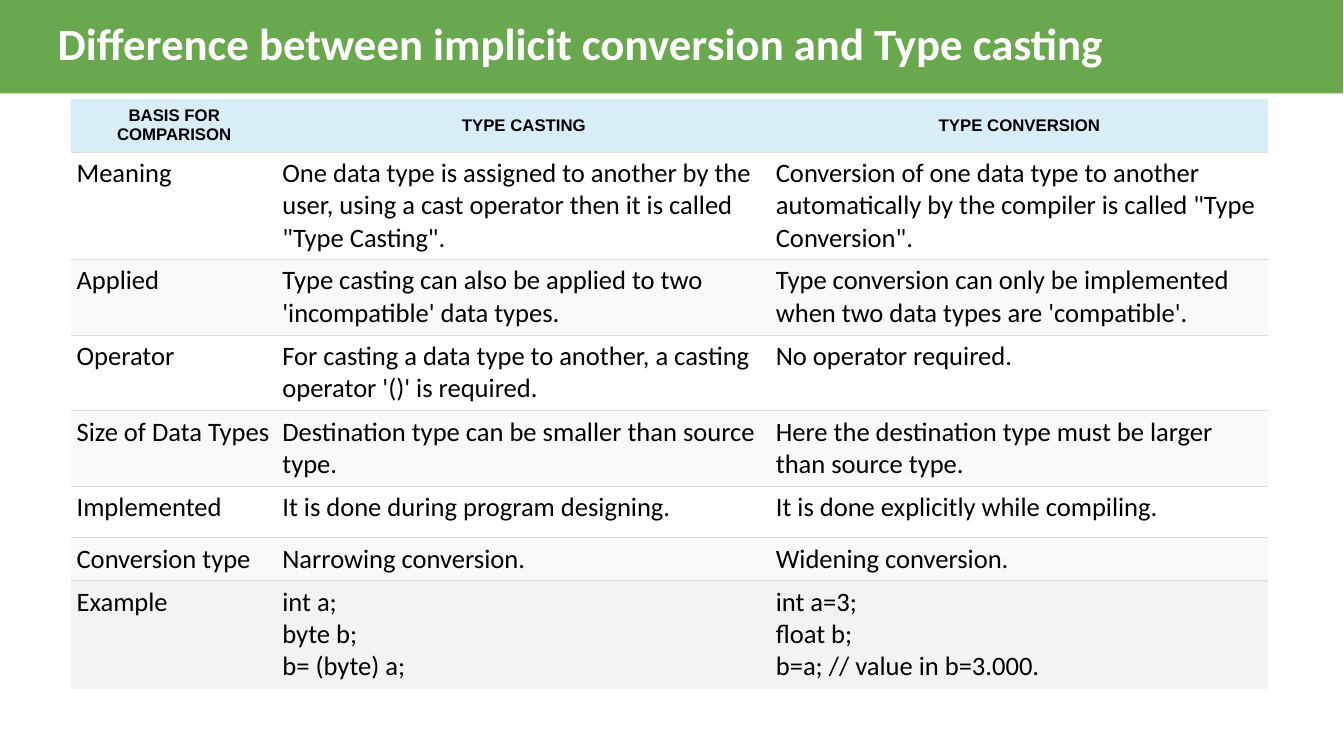
"""Build a slide comparing type casting with type conversion."""
from dataclasses import dataclass

from lxml import etree
from pptx import Presentation
from pptx.dml.color import RGBColor
from pptx.enum.shapes import MSO_SHAPE
from pptx.enum.text import MSO_ANCHOR, PP_ALIGN
from pptx.oxml.ns import qn
from pptx.slide import Slide
from pptx.table import _Cell
from pptx.text.text import TextFrame
from pptx.util import Emu, Pt

RECT = MSO_SHAPE.RECTANGLE
TOP, MIDDLE = MSO_ANCHOR.TOP, MSO_ANCHOR.MIDDLE
LEFT, CENTER = PP_ALIGN.LEFT, PP_ALIGN.CENTER
SCALE = 9525
TITLE_ONLY = 5


@dataclass(frozen=True)
class Theme:
    """Colours, fonts and type sizes."""
    band: str = "6AA84F"
    head: str = "D9EDF7"
    plain: str = "FFFFFF"
    tint: str = "F9F9F9"
    last: str = "F3F3F3"
    rule: str = "DDDDDD"
    ink: str = "000000"
    light: str = "FFFFFF"
    sans: str = "Arial"
    body: str = "Calibri"
    title_size: int = 32
    head_size: int = 12
    body_size: int = 19
    rule_size: float = 0.75


@dataclass(frozen=True)
class Row:
    """One table row: height in px, fill and cell texts."""
    height: int
    fill: str
    texts: tuple[str, str, str]


THEME = Theme()
TITLE = "Difference between implicit conversion and Type casting"
COLS = (196, 470, 474)
ROWS = (
    Row(51, THEME.head, ("BASIS FOR COMPARISON", "TYPE CASTING", "TYPE CONVERSION")),
    Row(102, THEME.plain, (
        "Meaning",
        "One data type is assigned to another by the user, using a cast operator "
        "then it is called \"Type Casting\".",
        "Conversion of one data type to another automatically by the compiler "
        "is called \"Type Conversion\".")),
    Row(72, THEME.tint, (
        "Applied",
        "Type casting can also be applied to two 'incompatible' data types.",
        "Type conversion can only be implemented when two data types are 'compatible'.")),
    Row(72, THEME.plain, (
        "Operator",
        "For casting a data type to another, a casting operator '()' is required.",
        "No operator required.")),
    Row(72, THEME.tint, (
        "Size of Data Types",
        "Destination type can be smaller than source type.",
        "Here the destination type must be larger than source type.")),
    Row(49, THEME.plain, (
        "Implemented",
        "It is done during program designing.",
        "It is done explicitly while compiling.")),
    Row(41, THEME.tint, (
        "Conversion type", "Narrowing conversion.", "Widening conversion.")),
    Row(103, THEME.last, (
        "Example",
        "int a;\vbyte b;\vb= (byte) a;",
        "int a=3;\vfloat b;\vb=a; // value in b=3.000.")),
)


def px(count: int) -> Emu:
    """Turn px into EMU."""
    return Emu(count * SCALE)


def write(frame: TextFrame, text: str, *, size: int, font: str, color: str,
          bold: bool = False, align: PP_ALIGN = LEFT) -> None:
    """Fill a text frame with one formatted paragraph."""
    para = frame.paragraphs[0]
    para.text = text
    para.alignment = align
    for run in para.runs:
        run.font.size = Pt(size)
        run.font.name = font
        run.font.bold = bold
        run.font.color.rgb = RGBColor.from_string(color)


def edge(cell: _Cell, side: str, shown: bool) -> None:
    """Draw or clear one side of a cell."""
    props = cell._tc.get_or_add_tcPr()
    line = etree.SubElement(props, qn(f"a:ln{side}"), w=str(Pt(THEME.rule_size)))
    if shown:
        fill = etree.SubElement(line, qn("a:solidFill"))
        etree.SubElement(fill, qn("a:srgbClr"), val=THEME.rule)
    else:
        etree.SubElement(line, qn("a:noFill"))


def add_title(slide: Slide) -> None:
    """Set the title over its green band."""
    title = slide.shapes.title
    band = slide.shapes.add_shape(RECT, 0, 0, px(1279), px(89))
    band.shadow.inherit = False
    band.fill.solid()
    band.fill.fore_color.rgb = RGBColor.from_string(THEME.band)
    band.line.fill.background()
    title.element.addprevious(band.element)

    title.left, title.top, title.width, title.height = map(px, (55, 13, 1180, 55))
    frame = title.text_frame
    frame.margin_left = frame.margin_right = frame.margin_bottom = 0
    frame.margin_top = px(2)
    frame.vertical_anchor = TOP
    frame.word_wrap = True
    write(frame, TITLE, size=THEME.title_size, font=THEME.body,
          color=THEME.light, bold=True)


def add_grid(slide: Slide) -> None:
    """Add the comparison table."""
    height = sum(row.height for row in ROWS)
    table = slide.shapes.add_table(len(ROWS), len(COLS), px(68), px(94),
                                   px(sum(COLS)), px(height)).table
    table.first_row = table.horz_banding = False
    for col, width in zip(table.columns, COLS):
        col.width = px(width)
    for y, row in enumerate(ROWS):
        table.rows[y].height = px(row.height)
        head = y == 0
        for x, text in enumerate(row.texts):
            cell = table.cell(y, x)
            cell.margin_left = cell.margin_right = px(5)
            cell.margin_top = cell.margin_bottom = px(5)
            cell.vertical_anchor = MIDDLE if head else TOP
            sides = {"L": False, "R": False, "T": not head, "B": y < len(ROWS) - 1}
            for side, shown in sides.items():
                edge(cell, side, shown)
            cell.fill.solid()
            cell.fill.fore_color.rgb = RGBColor.from_string(row.fill)
            write(cell.text_frame, text, color=THEME.ink, bold=head,
                  size=THEME.head_size if head else THEME.body_size,
                  font=THEME.sans if head else THEME.body,
                  align=CENTER if head else LEFT)


def main() -> None:
    """Build and save the deck."""
    deck = Presentation()
    deck.slide_width, deck.slide_height = px(1280), px(720)
    slide = deck.slides.add_slide(deck.slide_layouts[TITLE_ONLY])
    add_title(slide)
    add_grid(slide)
    deck.save("out.pptx")


if __name__ == "__main__":
    main()
